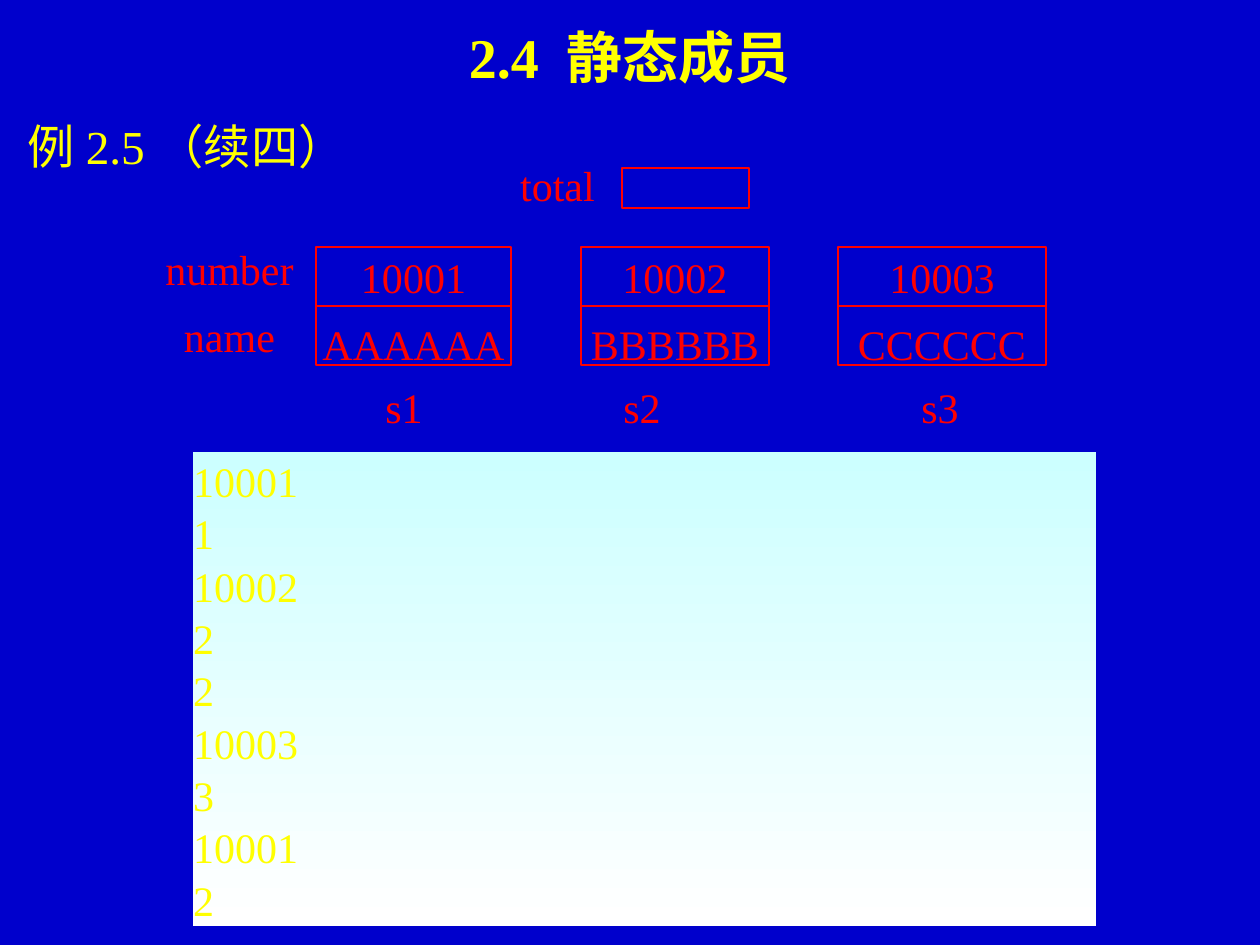
from dataclasses import dataclass

from pptx import Presentation
from pptx.dml.color import RGBColor as RGB
from pptx.enum.shapes import MSO_CONNECTOR as Connector, MSO_SHAPE as Shape
from pptx.enum.text import MSO_ANCHOR as Anchor, PP_ALIGN as Align
from pptx.oxml.ns import qn
from pptx.util import Pt
from lxml.etree import SubElement

EMU_PER_PX = 914400 // 126


@dataclass(frozen=True)
class Theme:
    font: str = "Times New Roman"
    background: RGB = RGB(0x00, 0x00, 0xCC)
    heading: RGB = RGB(0xFF, 0xFF, 0x00)
    diagram: RGB = RGB(0xFF, 0x00, 0x00)
    panel_top: RGB = RGB(0xCC, 0xFF, 0xFF)
    panel_bottom: RGB = RGB(0xFF, 0xFF, 0xFF)
    title_size: int = 32
    subtitle_size: int = 27
    body_size: int = 24
    line_width: float = 0.75


THEME = Theme()
HEADING_INSETS = (13, 6, 13, 6)
DIAGRAM_INSETS = (3, 3, 3, 1)
PANEL_INSETS = (0, 10, 0, 10)
HEADING = {"color": THEME.heading, "insets": HEADING_INSETS}
DIAGRAM = {"color": THEME.diagram, "size": THEME.body_size, "insets": DIAGRAM_INSETS,
           "paragraph": {"alignment": Align.CENTER, "line_spacing": 1.04,
                         "space_after": Pt(2)},
           "gap": 6}

STUDENT_TOP, STUDENT_HEIGHT = 247, 118
LABEL_TOP, LABEL_WIDTH, LABEL_HEIGHT = 377, 76, 53
# Left and width of the box, its two fields, object name and left of the name
STUDENTS = [
    (316, 195, ["10001", "AAAAAA"], "s1", 366),
    (581, 188, ["10002", "BBBBBB"], "s2", 604),
    (838, 208, ["10003", "CCCCCC"], "s3", 902),
]
OUTPUT = ["10001", "1", "10002", "2", "2", "10003", "3", "10001", "2"]


def px(*lengths):
    return [length * EMU_PER_PX for length in lengths]


def write(shape, lines, color, size, insets, paragraph=None, gap=0,
          anchor=Anchor.TOP, bold=False):
    """Write one paragraph per line; a line may be a list of (text, tracking) runs."""
    frame = shape.text_frame
    left, top, right, bottom = px(*insets)
    frame_format = {"word_wrap": True, "vertical_anchor": anchor,
                    "margin_left": left, "margin_top": top,
                    "margin_right": right, "margin_bottom": bottom}
    for name, value in frame_format.items():
        setattr(frame, name, value)
    for index, line in enumerate(lines):
        para = frame.paragraphs[0] if index == 0 else frame.add_paragraph()
        para_format = {"alignment": Align.LEFT, **(paragraph or {})}
        if index and gap:
            para_format["space_before"] = Pt(gap)
        for name, value in para_format.items():
            setattr(para, name, value)
        for text, tracking in [(line, 0)] if isinstance(line, str) else line:
            run = para.add_run()
            run.text = text
            run_format = {"name": THEME.font, "size": Pt(size), "bold": bold}
            for name, value in run_format.items():
                setattr(run.font, name, value)
            run.font.color.rgb = color
            if tracking:
                run.font._element.set("spc", str(tracking * 100))


def add_text(slide, box, lines, **style):
    write(slide.shapes.add_textbox(*px(*box)), lines, **style)


def add_rectangle(slide, box):
    rectangle = slide.shapes.add_shape(Shape.RECTANGLE, *px(*box))
    rectangle.shadow.inherit = False
    return rectangle


def add_outline(slide, box):
    outline = add_rectangle(slide, box)
    outline.fill.background()
    outline.line.color.rgb = THEME.diagram
    outline.line.width = Pt(THEME.line_width)
    return outline


def add_divider(slide, record):
    divider = slide.shapes.add_connector(Connector.STRAIGHT, 0, 0, 0, 0)
    divider.begin_connect(record, 1)
    divider.end_connect(record, 3)
    divider.line.color.rgb = THEME.diagram
    divider.line.width = Pt(THEME.line_width)
    SubElement(divider._element.spPr, qn("a:effectLst"))


def add_student(slide, left, width, fields, name, name_left):
    record = add_outline(slide, (left, STUDENT_TOP, width, STUDENT_HEIGHT))
    write(record, fields, **DIAGRAM)
    add_divider(slide, record)
    add_text(slide, (name_left, LABEL_TOP, LABEL_WIDTH, LABEL_HEIGHT), [name], **DIAGRAM)


def add_output_panel(slide):
    panel = add_rectangle(slide, (193, 452, 903, 474))
    panel.line.fill.background()
    panel.fill.gradient()
    panel.fill.gradient_angle = 270
    stops = [(0, THEME.panel_top), (1, THEME.panel_bottom)]
    for stop, (position, color) in zip(panel.fill.gradient_stops, stops):
        stop.position = position
        stop.color.rgb = color
    write(panel, OUTPUT, THEME.heading, THEME.body_size, PANEL_INSETS,
          paragraph={"line_spacing": 1.04}, anchor=Anchor.MIDDLE)


def main():
    deck = Presentation()
    deck.slide_width, deck.slide_height = px(1260, 945)
    slide = deck.slides.add_slide(deck.slide_layouts[6])
    slide.background.fill.solid()
    slide.background.fill.fore_color.rgb = THEME.background

    add_text(slide, (15, 106, 1235, 76), ["例 2.5 （续四）"],
             size=THEME.subtitle_size, paragraph={"line_spacing": 1.1}, **HEADING)
    add_text(slide, (0, 16, 1260, 81), [[("2.4", 0), (" ", 8), ("静态成员", 0)]],
             size=THEME.title_size, paragraph={"alignment": Align.CENTER},
             anchor=Anchor.MIDDLE, bold=True, **HEADING)

    add_text(slide, (154, 239, 151, 118), ["number", "name"], **DIAGRAM)
    for student in STUDENTS:
        add_student(slide, *student)
    add_outline(slide, (622, 168, 127, 40))
    add_text(slide, (507, 155, 101, 53), ["total"], **DIAGRAM)
    add_output_panel(slide)
    deck.save("out.pptx")


if __name__ == "__main__":
    main()
